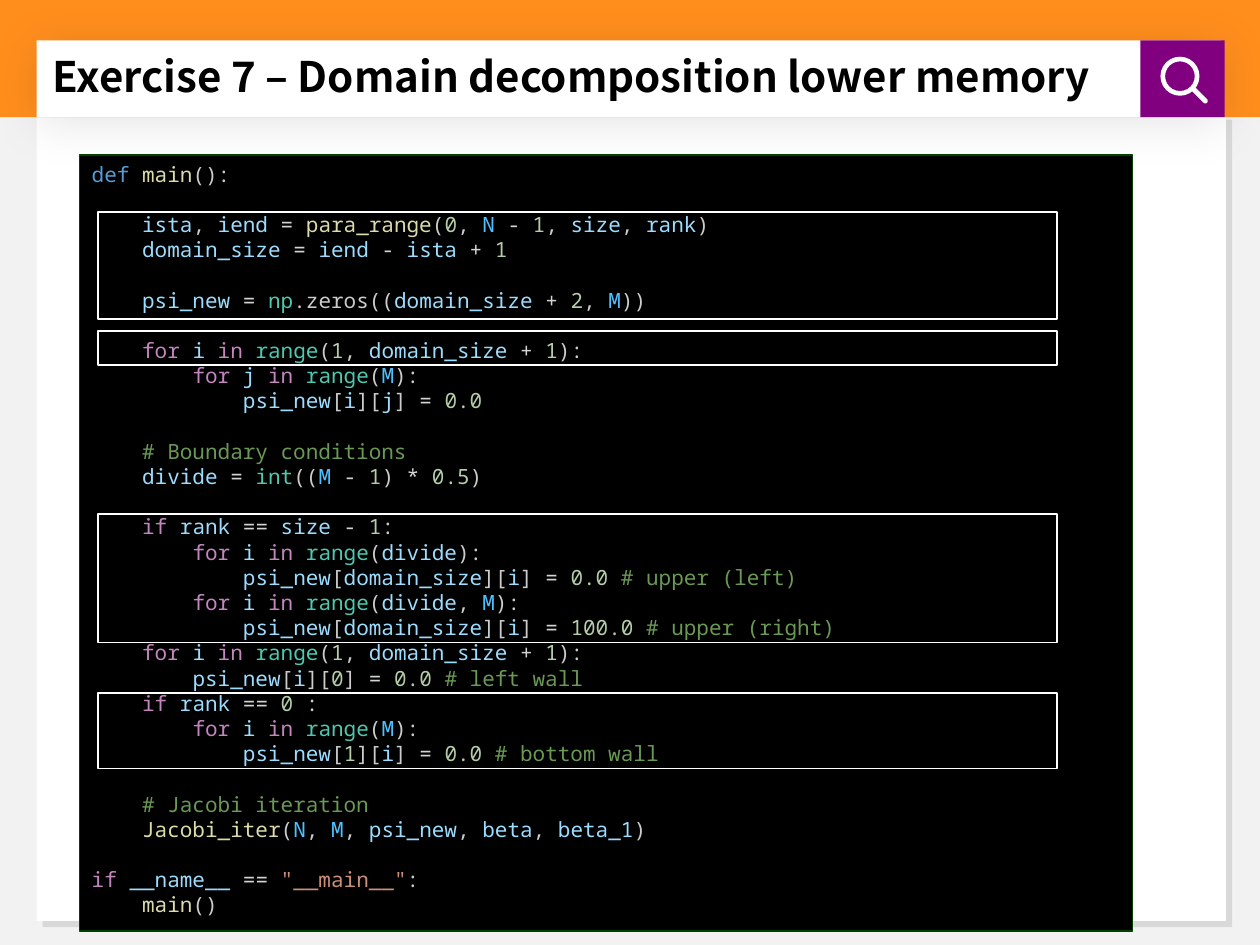
"""Build the slide on lower-memory domain decomposition with highlighted Python code."""
from itertools import groupby

from lxml import etree
from pptx import Presentation
from pptx.dml.color import RGBColor
from pptx.enum.shapes import MSO_SHAPE
from pptx.enum.text import MSO_ANCHOR, MSO_AUTO_SIZE, PP_ALIGN
from pptx.oxml.ns import qn
from pptx.util import Inches, Pt

RECT, DONUT, ROUNDED = MSO_SHAPE.RECTANGLE, MSO_SHAPE.DONUT, MSO_SHAPE.ROUNDED_RECTANGLE
TOP, MIDDLE = MSO_ANCHOR.TOP, MSO_ANCHOR.MIDDLE
LEFT, FIXED = PP_ALIGN.LEFT, MSO_AUTO_SIZE.NONE

THEME = {
    "title_font": "Noto Sans CJK KR", "title_size": Pt(24),
    "code_font": "Noto Sans Mono", "code_size": Pt(12), "code_line": Pt(14.4),
    "page": "F2F2F2", "white": "FFFFFF", "black": "000000",
    "orange": "FF8E1D", "purple": "800080", "code_edge": "004200",
    "definition": "569CD6", "control": "C586C0", "function": "DCDCAA",
    "type": "4EC9B0", "constant": "4FC1FF", "variable": "9CDCFE",
    "number": "B5CEA8", "string": "CE9178", "comment": "6A9955",
    "operator": "D4D4D4", "plain": "CCCCCC",
}
WORD_KINDS = {
    "def": "definition", "for": "control", "in": "control", "if": "control",
    "main": "function", "para_range": "function", "Jacobi_iter": "function",
    "np": "type", "range": "type", "int": "type",
    "N": "constant", "M": "constant", "zeros": "plain", '"__main__"': "string",
}
CODE = '''def main():

    ista, iend = para_range(0, N - 1, size, rank)
    domain_size = iend - ista + 1

    psi_new = np.zeros((domain_size + 2, M))

    for i in range(1, domain_size + 1):
        for j in range(M):
            psi_new[i][j] = 0.0

    # Boundary conditions
    divide = int((M - 1) * 0.5)

    if rank == size - 1:
        for i in range(divide):
            psi_new[domain_size][i] = 0.0 # upper (left)
        for i in range(divide, M):
            psi_new[domain_size][i] = 100.0 # upper (right)
    for i in range(1, domain_size + 1):
        psi_new[i][0] = 0.0 # left wall
    if rank == 0 :
        for i in range(M):
            psi_new[1][i] = 0.0 # bottom wall

    # Jacobi iteration
    Jacobi_iter(N, M, psi_new, beta, beta_1)

if __name__ == "__main__":
    main()'''


def add_box(shapes, kind, bounds, fill=None, line=None, weight=1, shadow=None):
    box = shapes.add_shape(kind, *map(Inches, bounds))
    box.shadow.inherit = False
    if fill:
        box.fill.solid()
        box.fill.fore_color.rgb = RGBColor.from_string(THEME[fill])
    else:
        box.fill.background()
    if line:
        box.line.color.rgb = RGBColor.from_string(THEME[line])
        box.line.width = Pt(weight)
    else:
        box.line.fill.background()
    if shadow:
        blur, distance, angle = shadow
        effects = box._element.spPr.find(qn("a:effectLst"))
        outer = etree.SubElement(effects, qn("a:outerShdw"), blurRad=str(Pt(blur)),
                                 dist=str(Pt(distance)), dir=str(angle * 60000),
                                 algn="ctr", rotWithShape="0")
        color = etree.SubElement(outer, qn("a:srgbClr"), val=THEME["black"])
        etree.SubElement(color, qn("a:alpha"), val="10000")
    return box


def highlight(line):
    def char_kind(item):
        index, char = item
        if char.isalnum() or char in '_"' or (char == "." and line[index - 1].isdigit()):
            return "word"
        return "operator" if char in "=+-*" else "plain"

    statement, mark, comment = line.partition("#")
    for kind, group in groupby(enumerate(statement), char_kind):
        token = "".join(char for _, char in group)
        if kind == "word":
            kind = "number" if token[0].isdigit() else WORD_KINDS.get(token, "variable")
        yield token, kind
    if mark:
        yield mark + comment, "comment"


presentation = Presentation()
presentation.slide_width, presentation.slide_height = Inches(10), Inches(7.5)
slide = presentation.slides.add_slide(presentation.slide_layouts[5])
shapes = slide.shapes

add_box(shapes, RECT, (0, 0.69, 10, 6.81), "page")
add_box(shapes, RECT, (0.29, 0.9, 9.44, 6.41), "white", shadow=(0, 5, 45))
add_box(shapes, RECT, (0, 0, 10, 0.93), "orange")
add_box(shapes, RECT, (0.29, 0.32, 9.4, 0.61), "white", shadow=(27, 3, 90))

search = shapes.add_group_shape().shapes
add_box(search, RECT, (9.05, 0.32, 0.67, 0.61), "purple")
lens = add_box(search, DONUT, (9.21, 0.45, 0.31, 0.31), "white")
lens.adjustments[0] = 0.12
handle = add_box(search, ROUNDED, (9.5, 0.67, 0.04, 0.17), "white")
handle.adjustments[0] = 0.5
handle.rotation = 315

title = shapes.title
shapes._spTree.append(title._element)
title.left, title.top, title.width, title.height = map(Inches, (0.32, 0.35, 8.83, 0.55))
title.text_frame.text = "Exercise 7 – Domain decomposition lower memory"
heading = title.text_frame.paragraphs[0]
heading_font = heading.runs[0].font
heading_font.color.rgb = RGBColor.from_string(THEME["black"])

listing = add_box(shapes, RECT, (0.63, 1.23, 8.36, 6.16), "black", "code_edge", 0.75)
code_frame = listing.text_frame

formats = [
    (title.text_frame, {"vertical_anchor": MIDDLE, "auto_size": FIXED, "word_wrap": True}),
    (heading, {"alignment": LEFT, "line_spacing": 0.9}),
    (heading_font, {"name": THEME["title_font"], "size": THEME["title_size"], "bold": True}),
    (code_frame, {"vertical_anchor": TOP, "auto_size": FIXED, "word_wrap": True}),
]
for target, values in formats:
    for attribute, value in values.items():
        setattr(target, attribute, value)

code_line = code_frame.paragraphs[0]
for block_index, block in enumerate(CODE.split("\n\n")):
    for line_index, line in enumerate(block.split("\n")):
        if block_index or line_index:
            code_line = code_frame.add_paragraph()
        code_line.alignment = LEFT
        code_line.line_spacing = THEME["code_line"]
        if block_index and not line_index:
            code_line.space_before = THEME["code_line"]
        for token, kind in highlight(line):
            run = code_line.add_run()
            run.text = token
            run.font.name = THEME["code_font"]
            run.font.size = THEME["code_size"]
            run.font.color.rgb = RGBColor.from_string(THEME[kind])

for top, height in ((4.08, 1.02), (5.5, 0.6), (1.68, 0.85), (2.63, 0.27)):
    add_box(shapes, RECT, (0.78, top, 7.61, height), line="white")

presentation.save("out.pptx")
